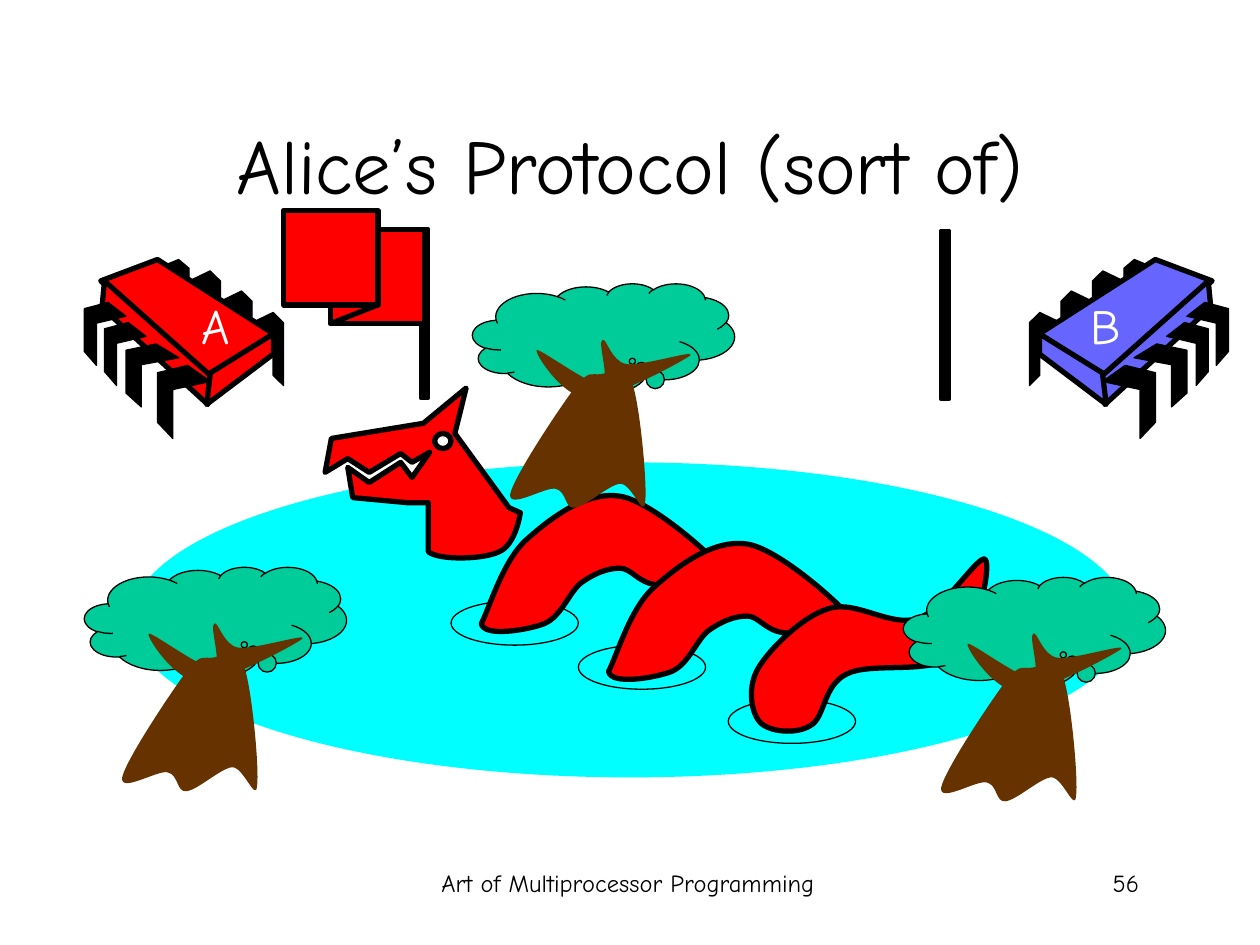
from dataclasses import dataclass

from lxml import etree
from pptx import Presentation
from pptx.dml.color import RGBColor
from pptx.enum.shapes import MSO_CONNECTOR, MSO_SHAPE
from pptx.enum.text import MSO_ANCHOR, PP_ALIGN
from pptx.oxml.ns import qn
from pptx.util import Inches, Pt

CENTER, RIGHT = PP_ALIGN.CENTER, PP_ALIGN.RIGHT
TOP, MIDDLE = MSO_ANCHOR.TOP, MSO_ANCHOR.MIDDLE
RECTANGLE, OVAL, CLOUD = MSO_SHAPE.RECTANGLE, MSO_SHAPE.OVAL, MSO_SHAPE.CLOUD_CALLOUT
STRAIGHT = MSO_CONNECTOR.STRAIGHT

# The slide is a grid of square cells; every length below counts cells.
CELL = Inches(0.01)
COLUMNS, ROWS = 1000, 750


@dataclass(frozen=True)
class Theme:
    font: str = "Comic Neue"
    title: int = 44
    label: int = 28
    footer: int = 14
    thin: float = 0.75
    medium: float = 2.25
    thick: float = 3
    black: str = "000000"
    white: str = "FFFFFF"
    red: str = "FF0000"
    blue: str = "6666FF"
    water: str = "00FFFF"
    leaf: str = "00CC99"
    bark: str = "663300"


THEME = Theme()


@dataclass(frozen=True)
class Box:
    left: float
    top: float
    width: float
    height: float
    mirrored: bool = False

    def at(self, x, y):
        """Slide position of a point given relative to this box."""
        across = self.width - x if self.mirrored else x
        return round((self.left + across) * CELL), round((self.top + y) * CELL)

    def inset(self, left, top, width, height):
        """A smaller box placed relative to this one."""
        across = self.width - left - width if self.mirrored else left
        return Box(self.left + across, self.top + top, width, height, self.mirrored)

    def frame(self):
        return [round(n * CELL) for n in (self.left, self.top, self.width, self.height)]


# Outlines: a pair is a straight step, six numbers are a Bézier step.
BACK_LEG = [(0, .14), (.67, 0), (1, .14), (1, 1), (.67, .86), (.67, .29), (0, .43)]
FRONT_LEG = [(.57, 0), (1, .22), (.29, .33), (.29, 1), (0, .78), (0, .1)]
BACK_LEG_BOXES = [(133, 42, 25, 58), (108, 25, 25, 58), (83, 9, 25, 58), (58, 0, 25, 50)]
FRONT_LEG_BOXES = [(58, 84, 42, 58), (33, 67, 42, 50), (16, 50, 33, 50), (0, 34, 33, 50)]
CHIP_FACES = [
    [(58, 0), (150, 59), (98, 93), (13, 17)],
    [(16, 17), (100, 92), (98, 115), (14, 38)],
    [(150, 59), (150, 75), (97, 115), (100, 90)],
]
HUMP = [
    (0, 106), (2, 117, 37, 111, 50, 106), (64, 100, 70, 80, 80, 73),
    (90, 66, 100, 62, 110, 62), (119, 62, 124, 73, 138, 75),
    (153, 76, 202, 83, 198, 71), (193, 60, 138, 10, 111, 5),
    (83, 0, 54, 23, 35, 40), (17, 57, 7, 92, 0, 106),
]
HEAD = [
    (146, 95), (103, 36), (112, 0), (78, 28), (5, 40), (0, 67), (18, 56), (35, 67),
    (60, 52), (69, 59), (83, 51), (69, 71), (60, 59), (35, 75), (18, 63), (22, 87),
    (65, 91), (82, 91), (82, 130), (91, 137, 126, 136, 138, 130),
    (150, 125, 154, 105, 155, 99),
]
TAIL = [
    (189, 5), (184, 0, 156, 46, 135, 52), (114, 59, 86, 37, 65, 44),
    (44, 50, 18, 76, 9, 91), (0, 106, 3, 126, 10, 134), (17, 142, 39, 144, 50, 137),
    (62, 131, 60, 105, 79, 96), (98, 86, 146, 97, 164, 81), (183, 66, 194, 10, 189, 5),
]
TRUNK = [
    (81, 83), (93, 68, 94, 73, 102, 72), (109, 71, 121, 63, 127, 80),
    (133, 97, 139, 161, 137, 174), (136, 187, 126, 158, 117, 159),
    (108, 160, 90, 177, 81, 178), (73, 179, 75, 165, 66, 163),
    (58, 161, 28, 180, 30, 167), (33, 153, 69, 99, 81, 83),
]
BRANCHES = [
    (51, 53), (49, 55, 71, 90, 91, 91), (112, 92, 168, 61, 173, 57),
    (178, 52, 134, 66, 122, 64), (110, 62, 106, 42, 103, 45),
    (99, 47, 110, 78, 102, 80), (93, 81, 53, 51, 51, 53),
]


def paint(shape, fill, line_width):
    shape.shadow.inherit = False
    if fill:
        shape.fill.solid()
        shape.fill.fore_color.rgb = RGBColor.from_string(fill)
    else:
        shape.fill.background()
    if line_width:
        shape.line.color.rgb = RGBColor.from_string(THEME.black)
        shape.line.width = Pt(line_width)
    else:
        shape.line.fill.background()


def add_preset(page, kind, box, fill=None, line_width=None):
    shape = page.shapes.add_shape(kind, *box.frame())
    paint(shape, fill, line_width)
    return shape


def add_outline(page, box, steps, fill, line_width=None):
    """Draw a closed outline, turning each six-number step into a Bézier curve."""
    points = [box.at(*step[i:i + 2]) for step in steps for i in range(0, len(step), 2)]
    builder = page.shapes.build_freeform(*points[0], scale=1.0)
    builder.add_line_segments(points[1:], close=True)
    shape = builder.convert_to_shape()
    straight = iter(list(shape.element.iter(qn("a:lnTo"))))
    for step in steps[1:]:
        segment = next(straight)
        if len(step) == 6:
            segment.tag = qn("a:cubicBezTo")
            for _ in range(2):
                extra = next(straight)
                segment.append(extra[0])
                extra.getparent().remove(extra)
    paint(shape, fill, line_width)


def add_text(page, box, text, size, align, color=THEME.black, anchor=TOP):
    frame = page.shapes.add_textbox(*box.frame()).text_frame
    frame.word_wrap = True
    frame.vertical_anchor = anchor
    para = frame.paragraphs[0]
    para.alignment = align
    span = para.add_run()
    span.text = text
    span.font.name = THEME.font
    span.font.size = Pt(size)
    span.font.color.rgb = RGBColor.from_string(color)


def draw_chip(page, box, label, color):
    def draw_legs(outline, places):
        for place in places:
            leg = box.inset(*place)
            steps = [(x * leg.width, y * leg.height) for x, y in outline]
            add_outline(page, leg, steps, THEME.black, THEME.thin)

    draw_legs(BACK_LEG, BACK_LEG_BOXES)
    for face in CHIP_FACES:
        add_outline(page, box, face, color, THEME.thick)
    draw_legs(FRONT_LEG, FRONT_LEG_BOXES)
    add_text(page, box.inset(76, 24, 49, 57), label, THEME.label, RIGHT, THEME.white)


def draw_monster(page, box):
    for left, top in [(201, 204), (320, 247), (100, 169)]:
        add_preset(page, OVAL, box.inset(left, top, 101, 35), None, THEME.thin)
    for left, top in [(124, 81), (225, 119)]:
        add_outline(page, box.inset(left, top, 203, 117), HUMP, THEME.red, THEME.thick)
    add_outline(page, box, HEAD, THEME.red, THEME.thick)
    add_preset(page, OVAL, box.inset(87, 36, 13, 12), THEME.white, THEME.thick)
    add_outline(page, box.inset(335, 131, 195, 143), TAIL, THEME.red, THEME.thick)


def draw_tree(page, box):
    crown = add_preset(page, CLOUD, box.inset(0, 0, 208, 87), THEME.leaf, THEME.thin)
    crown.adjustments[0], crown.adjustments[1] = 0.11, 0.21
    for outline in (TRUNK, BRANCHES):
        add_outline(page, box, outline, THEME.bark)


def draw_pole(page, box):
    add_preset(page, RECTANGLE, box, THEME.black, THEME.medium)


def draw_raised_flag(page, box):
    draw_pole(page, box.inset(109, 15, 6, 134))
    add_preset(page, RECTANGLE, box.inset(37, 15, 75, 75), THEME.red, THEME.thick)
    fold = page.shapes.add_connector(STRAIGHT, *box.at(37, 90), *box.at(75, 75))
    fold.line.color.rgb = RGBColor.from_string(THEME.black)
    fold.line.width = Pt(THEME.thick)
    etree.SubElement(fold.element.spPr, qn("a:effectLst"))
    add_preset(page, RECTANGLE, box.inset(0, 0, 75, 75), THEME.red, THEME.thick)


def main():
    deck = Presentation()
    deck.slide_width, deck.slide_height = COLUMNS * CELL, ROWS * CELL
    page = deck.slides.add_slide(deck.slide_layouts[6])
    add_text(page, Box(340, 684, 317, 50), "Art of Multiprocessor Programming", THEME.footer, CENTER)
    add_text(page, Box(706, 684, 208, 50), "56", THEME.footer, RIGHT)
    add_text(page, Box(75, 67, 850, 125), "Alice’s Protocol (sort of)", THEME.title, CENTER, anchor=MIDDLE)
    draw_chip(page, Box(67, 206, 158, 142), "A", THEME.red)
    draw_chip(page, Box(817, 206, 158, 142, mirrored=True), "B", THEME.blue)
    add_preset(page, OVAL, Box(104, 367, 792, 250), THEME.water)
    draw_monster(page, Box(258, 308, 530, 274))
    for left, top in [(375, 225), (717, 458), (67, 450)]:
        draw_tree(page, Box(left, top, 208, 188))
    draw_raised_flag(page, Box(225, 167, 115, 149))
    draw_pole(page, Box(747, 183, 6, 134))
    deck.save("out.pptx")


if __name__ == "__main__":
    main()
